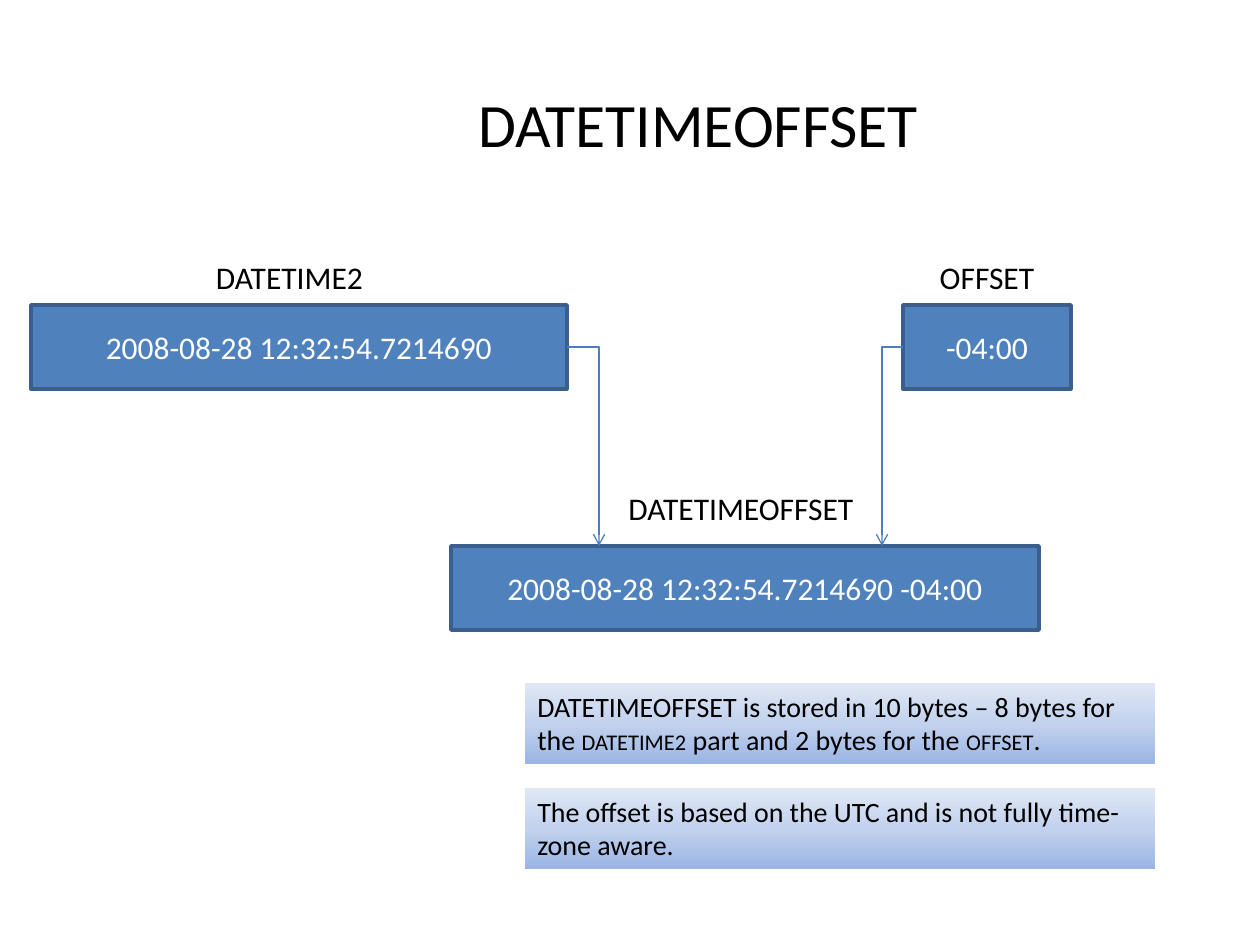
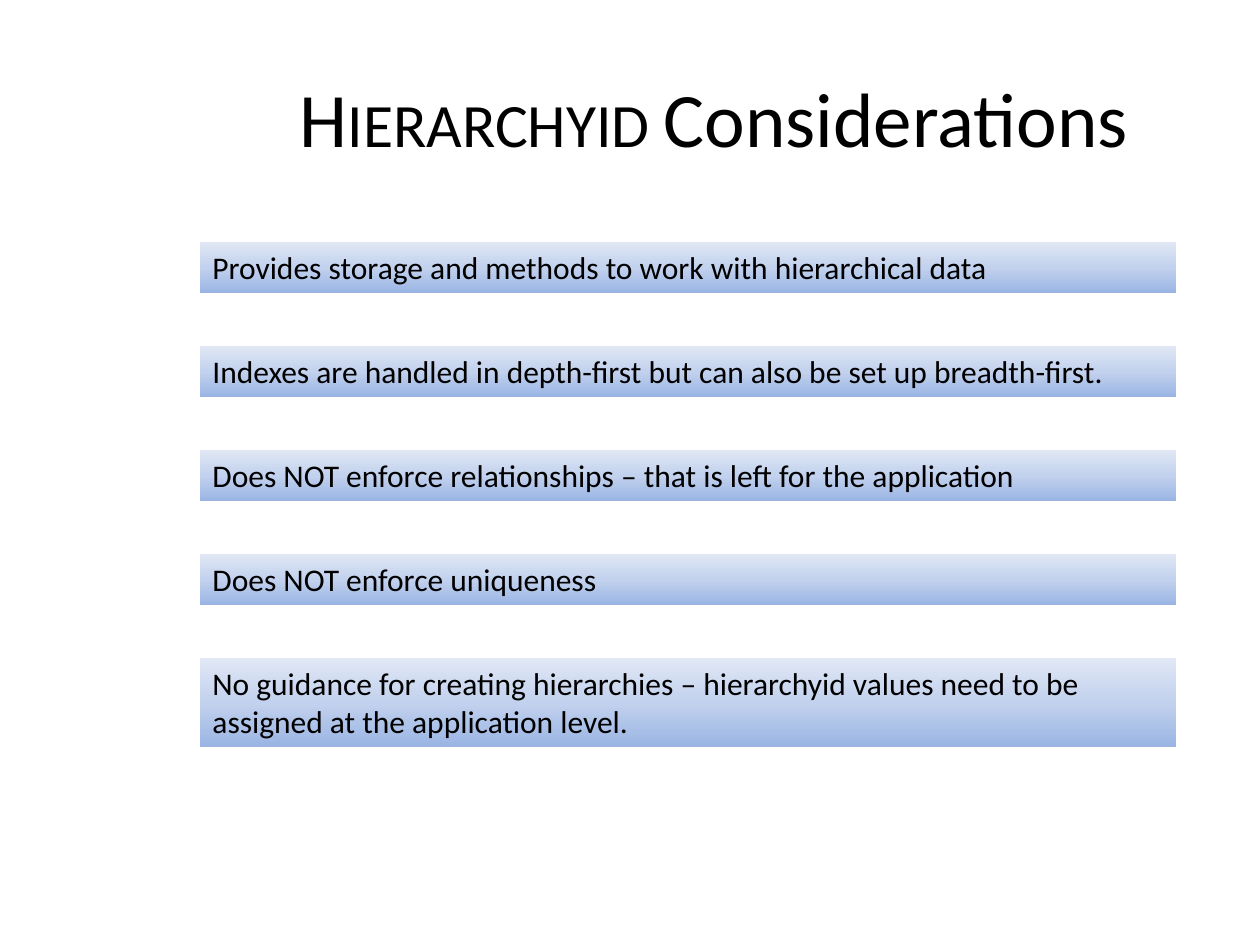
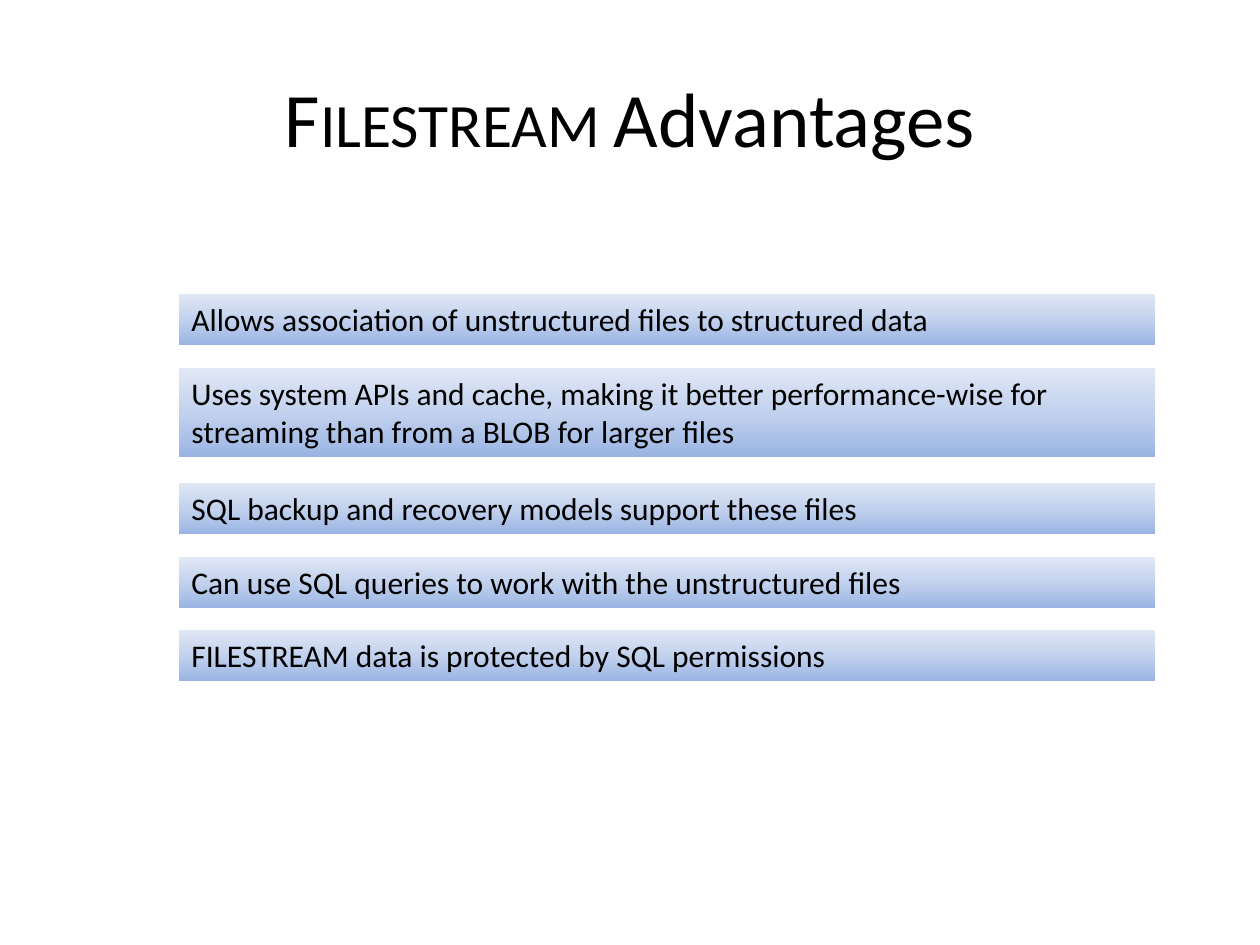
import copy
import pptx
import pptx.dml.color
import pptx.enum.shapes
import pptx.enum.text
import pptx.oxml
import pptx.oxml.ns
import pptx.util

PX = 914400 / 126
HUES = {"text": "000000", "box": "4F81BD", "edge": "3A5F8C", "pale": "FFFFFF",
        "wire": "4B7EBC", "low": "9AB5E4", "mid": "C2D1ED", "high": "E1E8F5"}
RGB = {key: pptx.dml.color.RGBColor.from_string(val) for key, val in HUES.items()}
RECT = pptx.enum.shapes.MSO_SHAPE.RECTANGLE
ELBOW = pptx.enum.shapes.MSO_CONNECTOR.ELBOW
ALIGN = pptx.enum.text.PP_ALIGN
ANCHOR = pptx.enum.text.MSO_ANCHOR
GROW = pptx.enum.text.MSO_AUTO_SIZE.SHAPE_TO_FIT_TEXT
NS = pptx.oxml.ns.nsdecls("a")


def write(shape, text, size, hue="text", align=ALIGN.CENTER, **frame):
    """Fill the shape with text; parts between bars are set in small caps."""
    for key, val in {"word_wrap": True, **frame}.items():
        setattr(shape.text_frame, key, val)
    para = shape.text_frame.paragraphs[0]
    para.alignment = align
    for num, part in enumerate(text.split("|")):
        if not part:
            continue
        run = para.add_run()
        run.text = part
        for key, val in {"name": "Calibri", "size": pptx.util.Pt(size)}.items():
            setattr(run.font, key, val)
        run.font.color.rgb = RGB[hue]
        if num % 2:
            run.font._element.set("cap", "small")


def add_bar(slide, area, text, size):
    bar = slide.shapes.add_shape(RECT, *[round(n * PX) for n in area])
    bar.shadow.inherit = False
    bar.line.fill.background()
    bar.fill.gradient()
    bar.fill.gradient_angle = 90
    stops = bar.element.spPr.find(".//" + pptx.oxml.ns.qn("a:gsLst"))
    stops.insert(1, copy.deepcopy(stops[0]))
    for stop, hue, place in zip(bar.fill.gradient_stops, ("low", "mid", "high"), (0, 0.5, 1)):
        stop.color.rgb = RGB[hue]
        stop.position = place
    write(bar, text, size, align=ALIGN.LEFT, vertical_anchor=ANCHOR.TOP, auto_size=GROW)


deck = pptx.Presentation()
deck.slide_width, deck.slide_height = round(1260 * PX), round(945 * PX)

# Titles
slides = []
for left, text in ((199, "|datetimeoffset"), (231, "|Hierarchyid |Considerations"),
                   (63, "|Filestream |Advantages")):
    slide = deck.slides.add_slide(deck.slide_layouts[5])
    title = slide.shapes.title
    place = {"left": left, "top": 38, "width": 1197 - left, "height": 158}
    for key, val in place.items():
        setattr(title, key, round(val * PX))
    write(title, text, 44, vertical_anchor=ANCHOR.MIDDLE)
    slides.append(slide)
offset, tree, stream = slides

# Value boxes with their labels
for left, top, width, value, mark, start, span in (
        (31, 305, 536, "2008-08-28 12:32:54.7214690", "DATETIME2", 176, 227),
        (451, 546, 588, "2008-08-28 12:32:54.7214690 -04:00", "DATETIMEOFFSET", 614, 254),
        (903, 305, 168, "-04:00", "OFFSET", 903, 168)):
    box = offset.shapes.add_shape(RECT, *[round(n * PX) for n in (left, top, width, 84)])
    box.shadow.inherit = False
    box.fill.solid()
    box.fill.fore_color.rgb = RGB["box"]
    box.line.color.rgb = RGB["edge"]
    box.line.width = pptx.util.Pt(2)
    write(box, value, 18, "pale", vertical_anchor=ANCHOR.MIDDLE)
    head = 252 if top == 305 else 483
    label = offset.shapes.add_textbox(*[round(n * PX) for n in (start, head, span, 51)])
    write(label, mark, 18, auto_size=GROW)

# Arrows into the joined value
for ends in ((567, 347, 599, 546), (903, 347, 882, 546)):
    wire = offset.shapes.add_connector(ELBOW, *[round(n * PX) for n in ends])
    wire.line.color.rgb = RGB["wire"]
    wire.line.width = pptx.util.Pt(0.75)
    props = wire.element.spPr
    props.find(pptx.oxml.ns.qn("a:prstGeom")).set("prst", "bentConnector2")
    props.find(pptx.oxml.ns.qn("a:ln")).append(
        pptx.oxml.parse_xml(f'<a:tailEnd {NS} type="arrow"/>'))
    props.append(pptx.oxml.parse_xml(f"<a:effectLst {NS}/>"))

# Notes under the boxes
for top, text in (
        (683, "DATETIMEOFFSET is stored in 10 bytes – 8 bytes for the |datetime2|"
              " part and 2 bytes for the |offset|."),
        (788, "The offset is based on the UTC and is not fully time-zone aware.")):
    add_bar(offset, (525, top, 630, 81), text, 16)

# Bars of one or two lines
points = (
    (tree, 200, range(242, 700, 104), (
        (51, "Provides storage and methods to work with hierarchical data"),
        (51, "Indexes are handled in depth-first but can also be set up breadth-first."),
        (51, "Does NOT enforce relationships – that is left for the application"),
        (51, "Does NOT enforce uniqueness"),
        (89, "No guidance for creating hierarchies – hierarchyid values need to be"
             " assigned at the application level."))),
    (stream, 179, (294, 368, 483, 557, 630), (
        (51, "Allows association of unstructured files to structured data"),
        (89, "Uses system APIs and cache, making it better performance-wise for"
             " streaming than from a BLOB for larger files"),
        (51, "SQL backup and recovery models support these files"),
        (51, "Can use SQL queries to work with the unstructured files"),
        (51, "FILESTREAM data is protected by SQL permissions"))))
for slide, left, tops, items in points:
    for top, (tall, text) in zip(tops, items):
        add_bar(slide, (left, top, 976, tall), text, 18)

deck.save("out.pptx")
